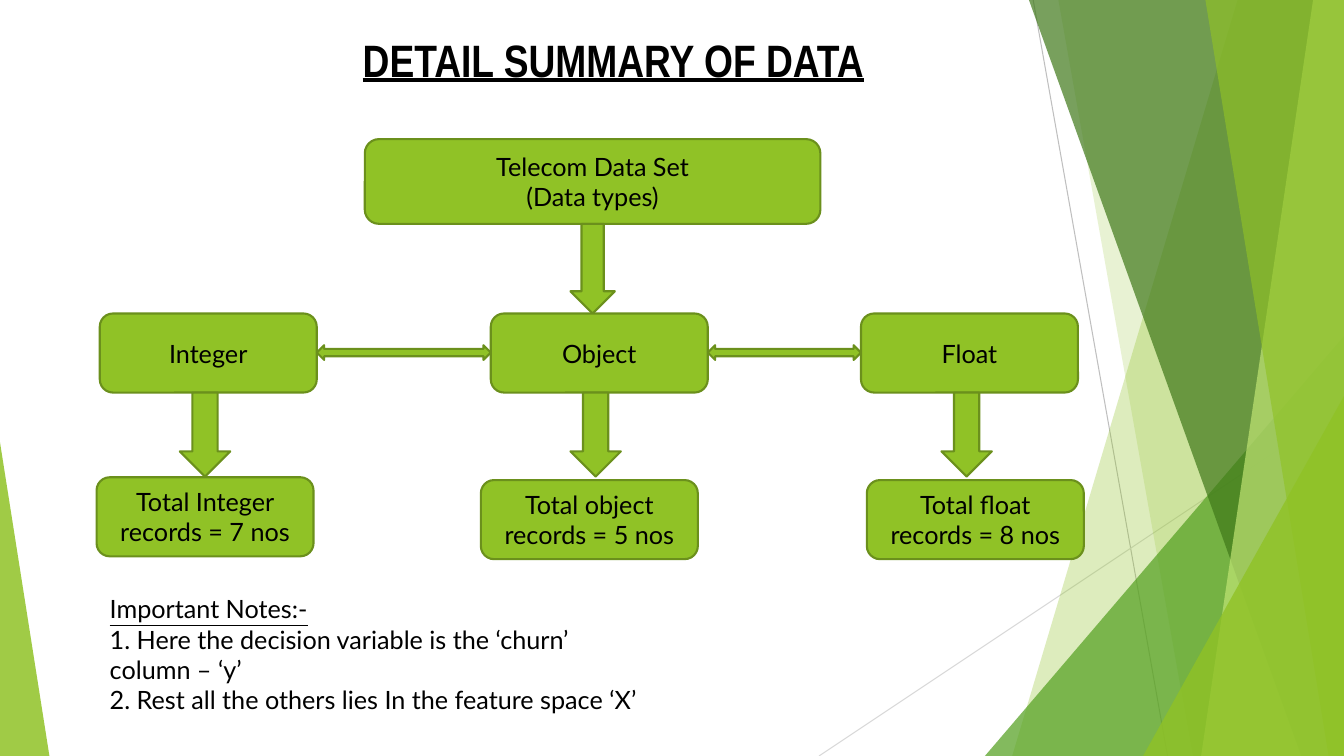
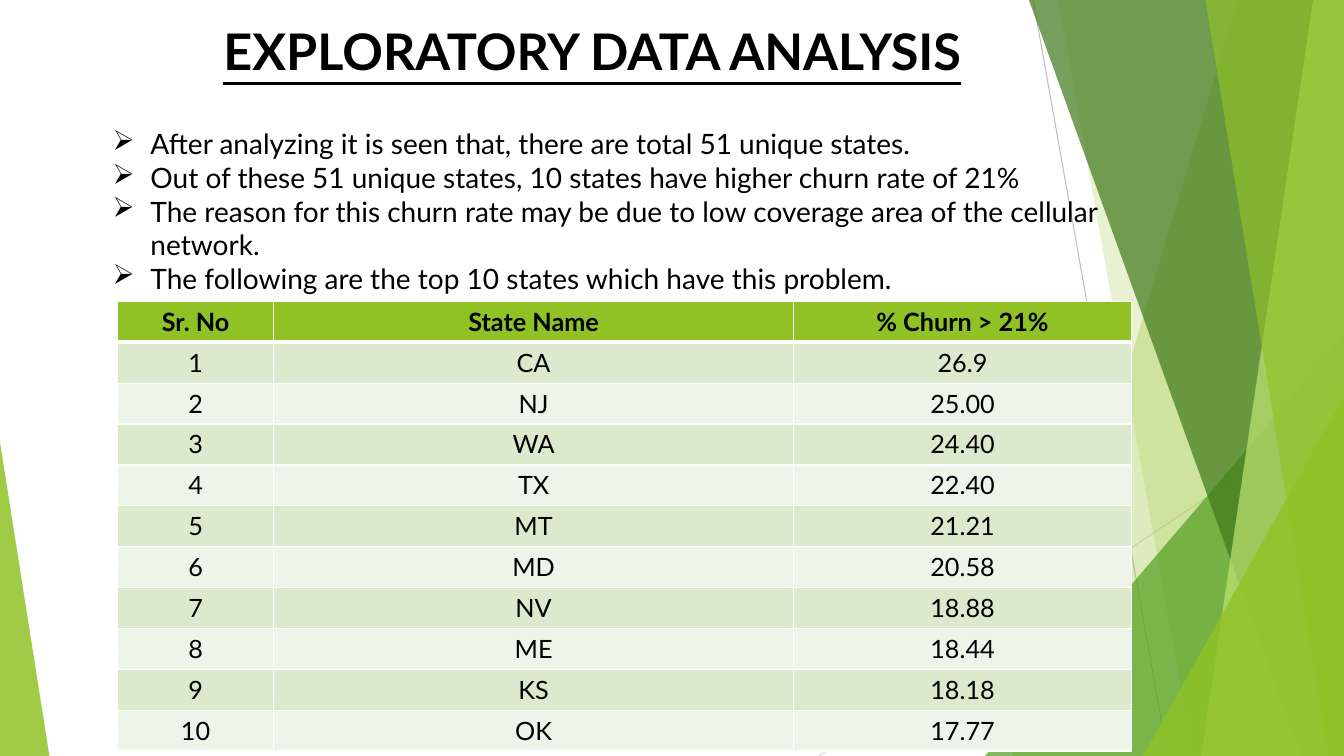
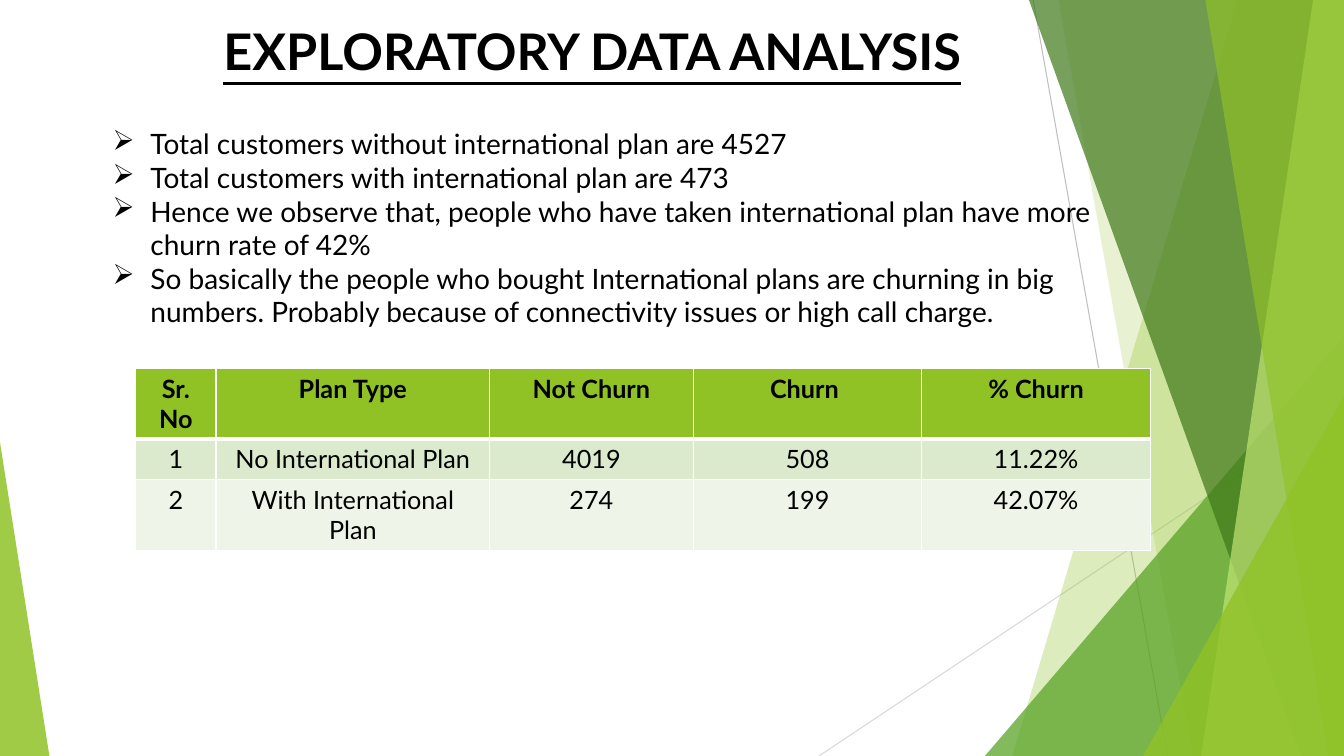
import lxml.etree
import pptx
import pptx.dml.color
import pptx.enum.shapes
import pptx.enum.text
import pptx.oxml.ns
import pptx.util

Pt = pptx.util.Pt
RGB = pptx.dml.color.RGBColor
KIND = pptx.enum.shapes.MSO_SHAPE
ALIGN = pptx.enum.text.PP_ALIGN
ANCHOR = pptx.enum.text.MSO_ANCHOR
qn = pptx.oxml.ns.qn

BLACK = RGB(0, 0, 0)
WHITE = RGB(255, 255, 255)
LIME = RGB(0x90, 0xC2, 0x26)
OLIVE = RGB(0x6B, 0x90, 0x1C)
GREEN = RGB(0x54, 0xA0, 0x21)
FOREST = RGB(0x3F, 0x78, 0x19)
PALE = RGB(0xC0, 0xE4, 0x74)
GREY = RGB(0xBF, 0xBF, 0xBF)
SILVER = RGB(0xD9, 0xD9, 0xD9)
BAND = RGB(0xDB, 0xE9, 0xCD)
LIGHT = RGB(0xEE, 0xF4, 0xE8)
FONT = "Lato"
WIDE, HIGH = 960, 540


def style(frame, size, align=ALIGN.LEFT, font=FONT, bold=False):
    for para in frame.paragraphs:
        para.alignment = align
        for run in para.runs:
            run.font.name = font
            run.font.size = Pt(size)
            run.font.bold = bold
            run.font.color.rgb = BLACK


def write(slide, box, text, size, **look):
    frame = slide.shapes.add_textbox(*map(Pt, box)).text_frame
    frame.word_wrap = True
    frame.text = text
    style(frame, size, **look)
    return frame


def paint(shape, color, alpha):
    shape.shadow.inherit = False
    shape.fill.solid()
    shape.fill.fore_color.rgb = color
    shape.line.fill.background()
    tint = shape.element.spPr.find(".//" + qn("a:srgbClr"))
    lxml.etree.SubElement(tint, qn("a:alpha")).set("val", str(alpha * 1000))


def ray(slide, ends, color):
    line = slide.shapes.add_connector(
        pptx.enum.shapes.MSO_CONNECTOR.STRAIGHT, *map(Pt, ends))
    line.line.color.rgb = color
    line.line.width = Pt(0.75)
    lxml.etree.SubElement(line.element.spPr, qn("a:effectLst"))


def shard(slide, top, foot, color, alpha):
    form = slide.shapes.build_freeform(Pt(top), 0, scale=1.0)
    form.add_line_segments(
        [(Pt(WIDE), 0), (Pt(WIDE), Pt(HIGH)), (Pt(foot), Pt(HIGH))])
    paint(form.convert_to_shape(), color, alpha)


def wedge(slide, left, wide, tall, tip, color, alpha):
    shape = slide.shapes.add_shape(
        KIND.ISOSCELES_TRIANGLE, Pt(left), Pt(HIGH - tall), Pt(wide), Pt(tall))
    shape.adjustments[0] = tip
    paint(shape, color, alpha)


def decor(slide):
    ray(slide, (738, 0, 834, HIGH), GREY)
    ray(slide, (WIDE, 290, 585, HIGH), SILVER)
    shard(slide, 884, 723, LIME, 30)
    shard(slide, 756, 852, LIME, 20)
    wedge(slide, 703.5, 256.5, 300, 1, GREEN, 72)
    shard(slide, 735, 929.5, FOREST, 70)
    shard(slide, 938, 858, PALE, 70)
    shard(slide, 861, 949, LIME, 65)
    wedge(slide, 816.5, 143.5, 257, 1, LIME, 80)
    wedge(slide, 0, 35.3, 224, 0, LIME, 85)


def title(slide, left, top, text, size, font=FONT):
    frame = write(slide, (left, top, 741, 52), text, size,
                  align=ALIGN.CENTER, font=font, bold=True)
    frame.paragraphs[0].runs[0].font.underline = True


def block(slide, kind, box, text=""):
    shape = slide.shapes.add_shape(kind, *map(Pt, box))
    shape.shadow.inherit = False
    shape.fill.solid()
    shape.fill.fore_color.rgb = LIME
    shape.line.color.rgb = OLIVE
    shape.line.width = Pt(1.5)
    if text:
        shape.text_frame.word_wrap = True
        shape.text_frame.vertical_anchor = ANCHOR.MIDDLE
        shape.text_frame.text = text
        style(shape.text_frame, 18, ALIGN.CENTER)


def flow(slide, left, top):
    wide, tall = 155, 56.5
    kinds = [
        ("Integer", 2.3, 59.5, 0, 241.5, "Total Integer records = 7 nos"),
        ("Object", 281.6, 338.5, 274.5, 243.5, "Total object records = 5 nos"),
        ("Float", 546, 603.5, 550.2, 243.5, "Total float records = 8 nos"),
    ]
    block(slide, KIND.ROUNDED_RECTANGLE, (left + 191.6, top, 325.4, 60.5),
          "Telecom Data Set\n(Data types)")
    block(slide, KIND.DOWN_ARROW, (left + 338.5, top + 60.5, 31.7, 64))
    for name, x, stem, foot, drop, total in kinds:
        block(slide, KIND.ROUNDED_RECTANGLE,
              (left + x, top + 124.5, wide, tall), name)
        block(slide, KIND.DOWN_ARROW, (left + stem, top + 181, 36, 60))
        block(slide, KIND.ROUNDED_RECTANGLE,
              (left + foot, top + drop, wide, tall), total)
    for near, far in zip(kinds, kinds[1:]):
        start = near[1] + wide
        block(slide, KIND.LEFT_RIGHT_ARROW,
              (left + start, top + 147.2, far[1] - start, 10.5))


def notes(slide, left, top):
    frame = write(slide, (left, top, 395.3, 116.6),
                  "Important Notes:-\n"
                  "1. Here the decision variable is the ‘churn’ column – ‘y’\n"
                  "2. Rest all the others lies In the feature space ‘X’", 18)
    frame.paragraphs[0].runs[0].font.underline = True


def points(slide, left, top, tall, lines):
    frame = write(slide, (left, top, 734.4, tall), "\n".join(lines), 20)
    for para in frame.paragraphs:
        props = para._p.get_or_add_pPr()
        props.set("marL", str(Pt(27)))
        props.set("indent", str(-Pt(27)))
        lxml.etree.SubElement(props, qn("a:buChar")).set("char", "➢")


def edge(cell, row):
    props = cell._tc.get_or_add_tcPr()
    widths = {"L": 1, "R": 1, "T": 3 if row == 1 else 1,
              "B": 3 if row == 0 else 1}
    for spot, (side, width) in enumerate(widths.items()):
        line = lxml.etree.Element(qn("a:ln" + side), w=str(Pt(width)))
        fill = lxml.etree.SubElement(line, qn("a:solidFill"))
        lxml.etree.SubElement(fill, qn("a:srgbClr")).set("val", str(WHITE))
        props.insert(spot, line)


def grid(slide, left, top, wides, talls, rows):
    table = slide.shapes.add_table(
        len(rows), len(wides), Pt(left), Pt(top),
        Pt(sum(wides)), Pt(sum(talls))).table
    for col, wide in zip(table.columns, wides):
        col.width = Pt(wide)
    for r, (tall, row) in enumerate(zip(talls, rows)):
        table.rows[r].height = Pt(tall)
        for c, text in enumerate(row):
            cell = table.cell(r, c)
            cell.text_frame.text = text
            style(cell.text_frame, 18, ALIGN.CENTER, bold=r == 0)
            cell.fill.solid()
            cell.fill.fore_color.rgb = (
                LIME if r == 0 else BAND if r % 2 else LIGHT)
            edge(cell, r)


def types(slide):
    title(slide, 67.7, 19.4, "DETAIL SUMMARY OF DATA", 32.4, "Arial Narrow")
    flow(slide, 69, 99.4)
    notes(slide, 71.3, 420.5)


def study(slide, lines, tall, left, top, wides, talls, rows):
    title(slide, 52.6, 10.8, "EXPLORATORY DATA ANALYSIS", 36)
    points(slide, 73.4, 87.1, tall, lines)
    grid(slide, left, top, wides, talls, rows)


def states(slide):
    rates = [("CA", "26.9"), ("NJ", "25.00"), ("WA", "24.40"),
             ("TX", "22.40"), ("MT", "21.21"), ("MD", "20.58"),
             ("NV", "18.88"), ("ME", "18.44"), ("KS", "18.18"),
             ("OK", "17.77")]
    rows = [("Sr. No", "State Name", "% Churn > 21%")]
    rows += [(str(n), *rate) for n, rate in enumerate(rates, 1)]
    study(slide, [
        "After analyzing it is seen that, there are total 51 unique states.",
        "Out of these 51 unique states, 10 states have higher churn rate "
        "of 21%",
        "The reason for this churn rate may be due to low coverage area of "
        "the cellular network.",
        "The following are the top 10 states which have this problem.",
    ], 128.2, 83.9, 215.3, [111.6, 371.3, 241.5], [29.2] * len(rows), rows)


def plans(slide):
    study(slide, [
        "Total customers without international plan are 4527",
        "Total customers with international plan are 473",
        "Hence we observe that, people who have taken international plan "
        "have more churn rate of 42%",
        "So basically the people who bought International plans are churning "
        "in big numbers. Probably because of connectivity issues or high "
        "call charge.",
    ], 152.6, 96.9, 263, [57.4, 195.5, 145.4, 163.3, 163.3],
        [50.4, 29.2, 50.4], [
        ("Sr. No", "Plan Type", "Not Churn", "Churn ", "% Churn"),
        ("1", "No International Plan", "4019", "508", "11.22%"),
        ("2", "With International Plan", "274", "199", "42.07%"),
    ])


def main():
    deck = pptx.Presentation()
    deck.slide_width = Pt(WIDE)
    deck.slide_height = Pt(HIGH)
    for build in (types, states, plans):
        slide = deck.slides.add_slide(deck.slide_layouts[6])
        decor(slide)
        build(slide)
    deck.save("out.pptx")


if __name__ == "__main__":
    main()
